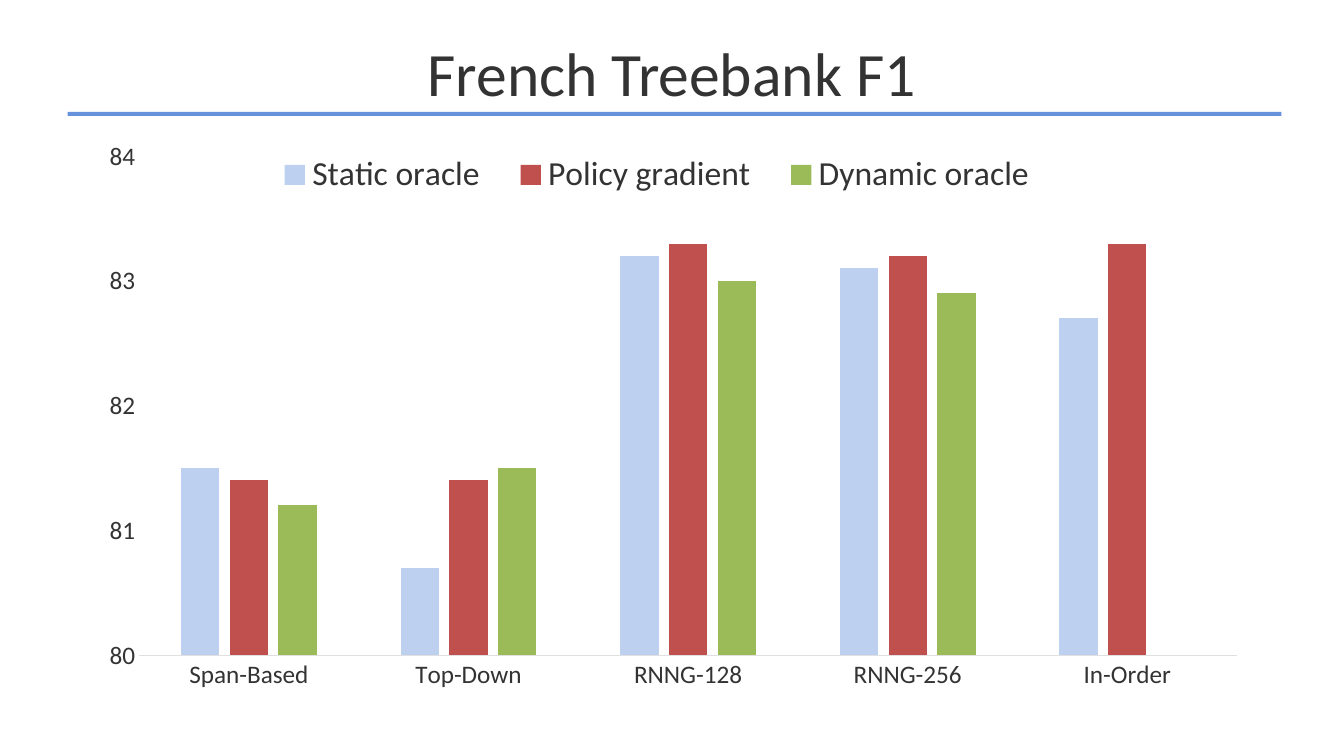
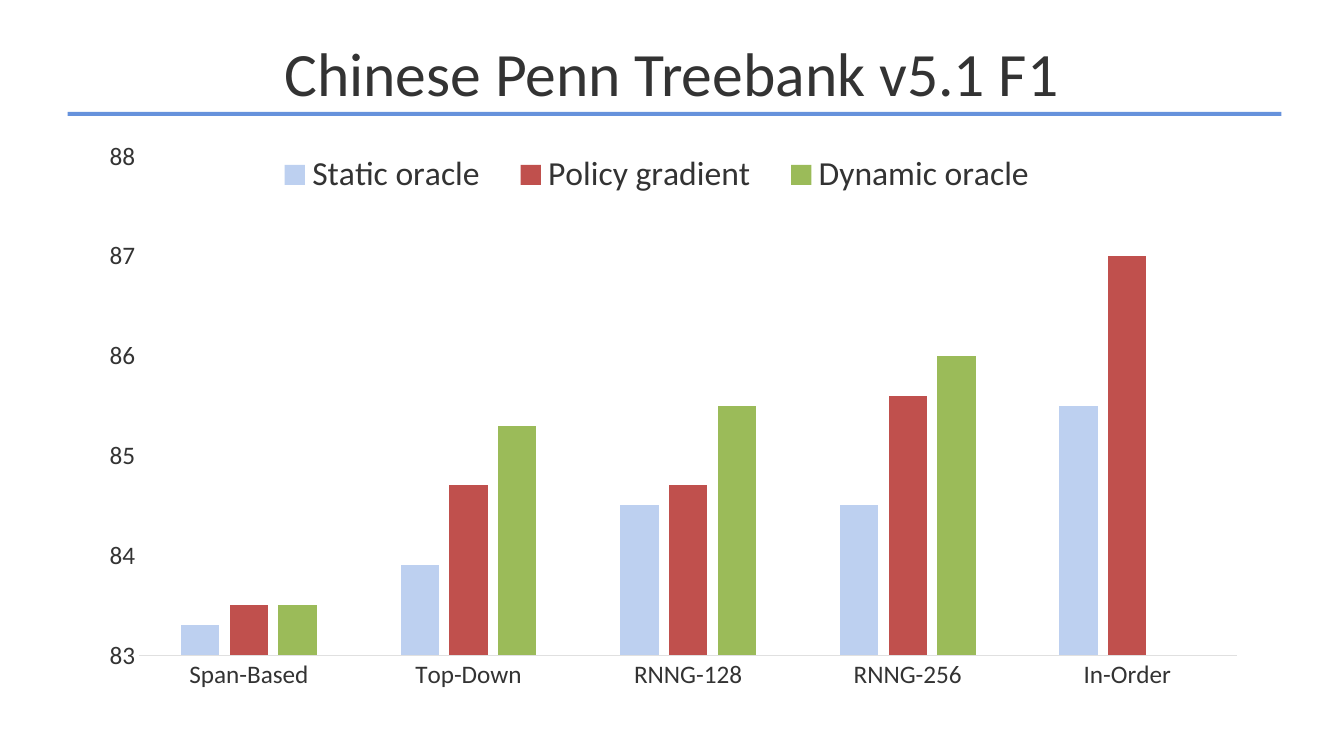
"""Build two slides comparing parser training methods on French and Chinese treebanks."""
import pptx
import pptx.chart.data
import pptx.dml.color
import pptx.enum.chart
import pptx.enum.shapes
import pptx.enum.text
import pptx.oxml
import pptx.oxml.ns
import pptx.util

RGBColor = pptx.dml.color.RGBColor
TEXT = RGBColor(0x33, 0x33, 0x33)
RULE = RGBColor(0x66, 0x92, 0xDC)
AXIS = RGBColor(0xE0, 0xE0, 0xE0)
FONT = "Calibri"
PX = 9144

SLIDE_SIZE = (1333, 750)
RULE_BOX = (67, 111, 1204, 4)
TITLE_BOX = (0, 16, 1333, 110)
CHART_BOX = (85, 126, 1166, 632)
PLOT_BOX = (53, 29, 1089, 495)
LEGEND_BOX = (168, 19, 797, 57)

PARSERS = ["Span-Based", "Top-Down", "RNNG-128", "RNNG-256", "In-Order"]
METHODS = [
    ("Static oracle", RGBColor(0xBD, 0xD0, 0xF0)),
    ("Policy gradient", RGBColor(0xC0, 0x50, 0x4D)),
    ("Dynamic oracle", RGBColor(0x9B, 0xBB, 0x59)),
]
SLIDES = [
    {
        "title": "French Treebank F1",
        "range": (80, 84),
        "scores": [
            (81.5, 80.7, 83.2, 83.1, 82.7),
            (81.4, 81.4, 83.3, 83.2, 83.3),
            (81.2, 81.5, 83, 82.9, None),
        ],
    },
    {
        "title": "Chinese Penn Treebank v5.1 F1",
        "range": (83, 88),
        "scores": [
            (83.3, 83.9, 84.5, 84.5, 85.5),
            (83.5, 84.7, 84.7, 85.6, 87),
            (83.5, 85.3, 85.5, 86, None),
        ],
    },
]


def emu(box):
    return [length * PX for length in box]


def style_font(font, size):
    font.name = FONT
    font.size = pptx.util.Pt(size)
    font.color.rgb = TEXT


def place_in_chart(element, index, box, inner=False):
    for layout in element.findall(pptx.oxml.ns.qn("c:layout")):
        element.remove(layout)
    width, height = CHART_BOX[2:]
    fractions = [length / total for length, total in zip(box, (width, height) * 2)]
    target = '<c:layoutTarget val="inner"/>' if inner else ""
    modes = '<c:xMode val="edge"/><c:yMode val="edge"/>'
    values = "".join(f'<c:{name} val="{value:.4f}"/>' for name, value in zip("xywh", fractions))
    namespace = pptx.oxml.ns.nsdecls("c")
    element.insert(index, pptx.oxml.parse_xml(
        f"<c:layout {namespace}><c:manualLayout>{target}{modes}{values}</c:manualLayout></c:layout>"))


def add_heading(slide, title):
    rule = slide.shapes.add_shape(pptx.enum.shapes.MSO_SHAPE.RECTANGLE, *emu(RULE_BOX))
    rule.shadow.inherit = False
    rule.fill.solid()
    rule.fill.fore_color.rgb = RULE
    rule.line.fill.background()
    frame = slide.shapes.add_textbox(*emu(TITLE_BOX)).text_frame
    frame.word_wrap = True
    frame.vertical_anchor = pptx.enum.text.MSO_ANCHOR.MIDDLE
    paragraph = frame.paragraphs[0]
    paragraph.text = title
    paragraph.alignment = pptx.enum.text.PP_ALIGN.CENTER
    style_font(paragraph.font, 44)


def add_score_chart(slide, scores, lowest, highest):
    data = pptx.chart.data.CategoryChartData()
    data.categories = PARSERS
    for (method, _), values in zip(METHODS, scores):
        data.add_series(method, values)
    chart = slide.shapes.add_chart(
        pptx.enum.chart.XL_CHART_TYPE.COLUMN_CLUSTERED, *emu(CHART_BOX), data).chart
    chart.has_title = False
    style_font(chart.font, 10)

    plot = chart.plots[0]
    plot.gap_width = 219
    plot.overlap = -27
    plot.vary_by_categories = False
    for series, (_, color) in zip(plot.series, METHODS):
        series.format.fill.solid()
        series.format.fill.fore_color.rgb = color
        series.invert_if_negative = False

    for axis in (chart.category_axis, chart.value_axis):
        axis.has_major_gridlines = False
        axis.major_tick_mark = pptx.enum.chart.XL_TICK_MARK.NONE
        axis.minor_tick_mark = pptx.enum.chart.XL_TICK_MARK.NONE
        style_font(axis.tick_labels.font, 18)
    chart.category_axis.format.line.color.rgb = AXIS
    chart.category_axis.format.line.width = pptx.util.Pt(0.75)
    chart.value_axis.format.line.fill.background()
    chart.value_axis.minimum_scale = lowest
    chart.value_axis.maximum_scale = highest
    chart.value_axis.major_unit = 1

    chart.has_legend = True
    legend = chart.legend
    legend.position = pptx.enum.chart.XL_LEGEND_POSITION.BOTTOM
    legend.include_in_layout = False
    style_font(legend.font, 24)
    place_in_chart(legend._element, 1, LEGEND_BOX)
    place_in_chart(chart._chartSpace.chart.plotArea, 0, PLOT_BOX, inner=True)


def main():
    presentation = pptx.Presentation()
    presentation.slide_width, presentation.slide_height = emu(SLIDE_SIZE)
    for content in SLIDES:
        slide = presentation.slides.add_slide(presentation.slide_layouts[6])
        add_heading(slide, content["title"])
        add_score_chart(slide, content["scores"], *content["range"])
    presentation.save("out.pptx")


if __name__ == "__main__":
    main()
